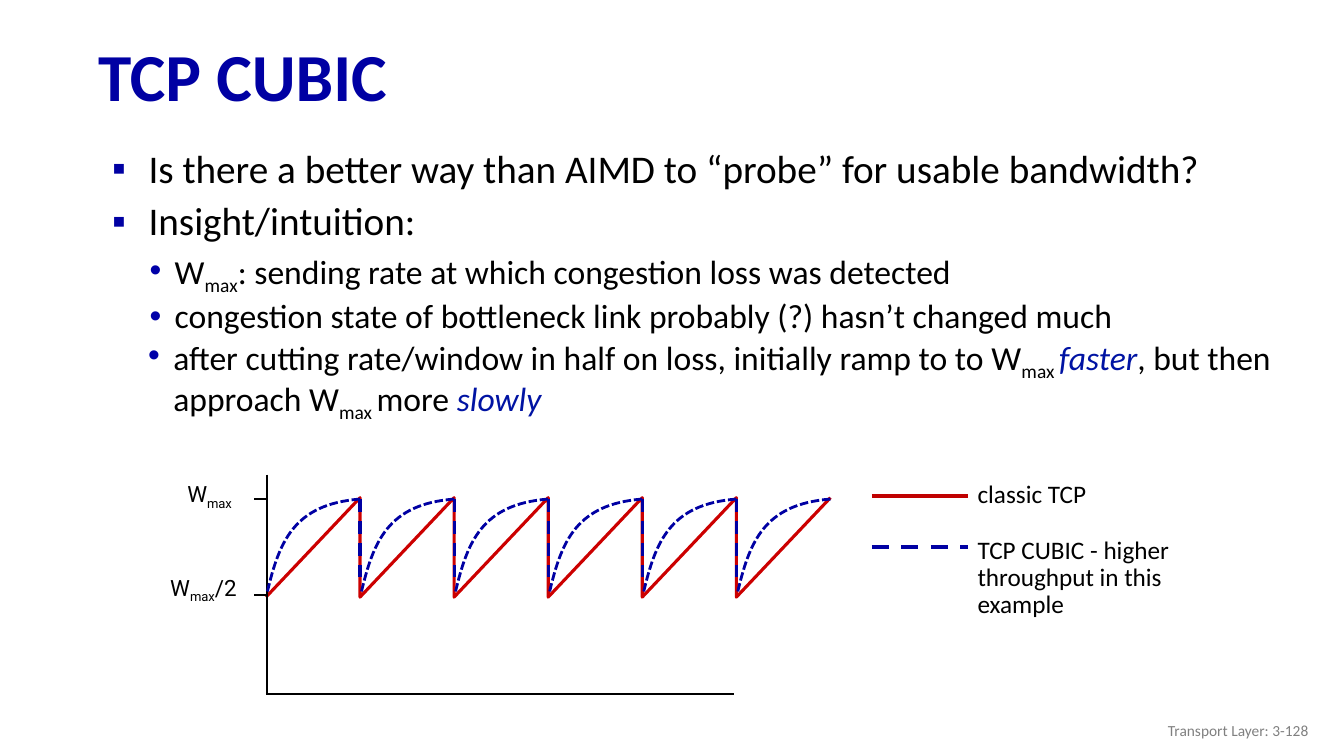
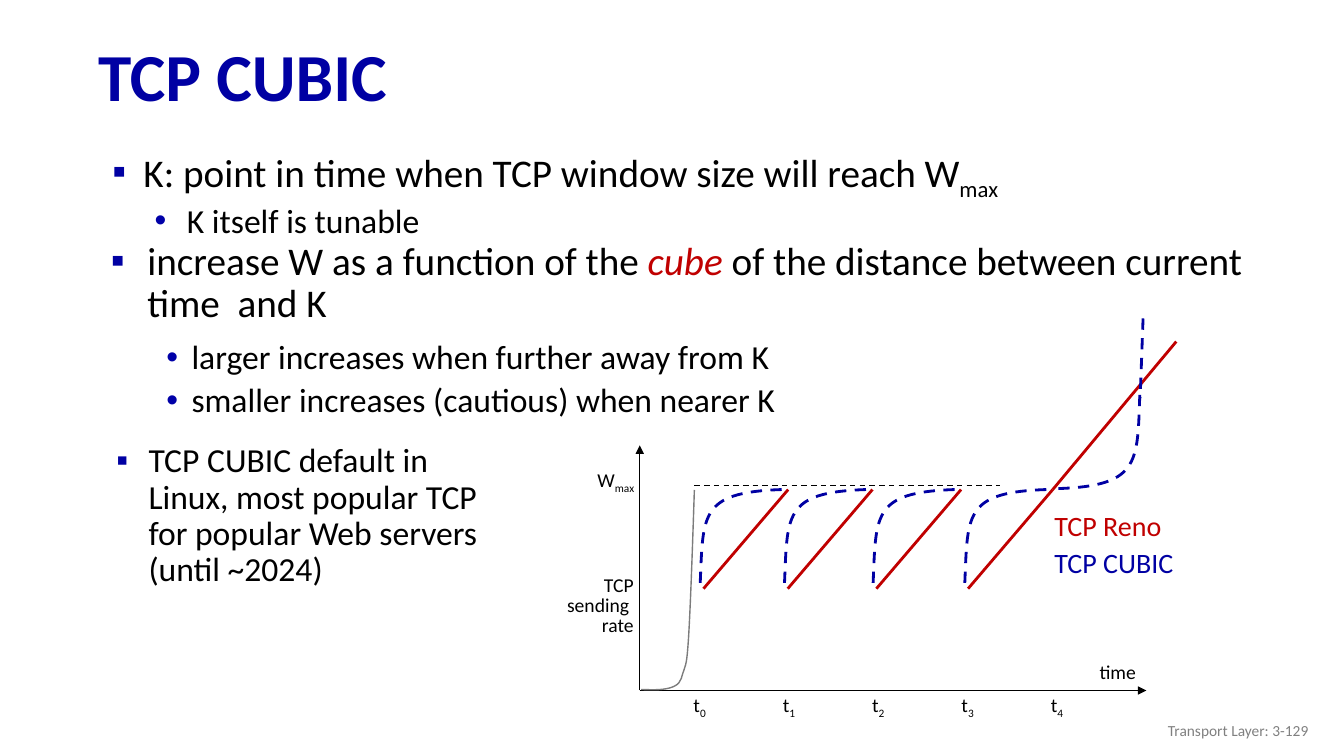
from dataclasses import dataclass
from typing import Any, NamedTuple

from lxml.etree import SubElement as Sub
from pptx import Presentation
from pptx.dml.color import RGBColor as Rgb
from pptx.enum.dml import MSO_LINE as Dash
from pptx.enum.shapes import MSO_CONNECTOR as Conn
from pptx.enum.text import MSO_ANCHOR as Anchor, PP_ALIGN as Align
from pptx.oxml.ns import qn
from pptx.util import Pt


@dataclass(frozen=True)
class Theme:
    font: str = "Calibri"
    alt: str = "Roboto"
    blue: str = "0000A3"
    dot: str = "0000A8"
    stress: str = "0013A3"
    red: str = "C00000"
    saw: str = "CC0000"
    black: str = "000000"
    gray: str = "7C7C7C"
    pale: str = "808080"
    title: int = 48
    body: int = 28
    sub: int = 24
    key: int = 20
    note: int = 18
    mark: int = 16
    tiny: int = 14
    foot: int = 11


T = Theme()


class Spot(NamedTuple):
    x: float
    y: float


class Area(NamedTuple):
    x: float
    y: float
    w: float
    h: float


class Run(NamedTuple):
    text: str
    color: str = ""
    italic: bool = False
    low: bool = False


class Bullet(NamedTuple):
    char: str
    color: str
    left: float
    hang: float


@dataclass(frozen=True)
class Para:
    runs: tuple[Run, ...]
    size: int
    color: str = T.black
    font: str = T.font
    bold: bool = False
    align: Any = Align.LEFT
    space: float = 1.0
    before: float = 0
    bullet: Bullet | None = None


@dataclass(frozen=True)
class Pen:
    color: str
    width: float
    dash: Any = None


MAX = Run("max", low=True)
MAX_GAP = Run("max ", low=True)
WMAX = (Run("W"), MAX)
AXIS = Pen(T.black, 1.5)
THIN = Pen(T.black, 1)
RENO = Pen(T.red, 2)
CUBIC = Pen(T.blue, 2, Dash.DASH)


def put(obj: Any, vals: dict[str, Any]) -> None:
    for name, val in vals.items():
        setattr(obj, name, val)


def main_item(*runs: Run, left: float = 36, hang: float = 26, size: int = T.body) -> Para:
    return Para(runs, size, space=0.9, before=10, bullet=Bullet("▪", T.blue, left, hang))


def sub_item(*runs: Run, left: float = 54.7, hang: float = 18) -> Para:
    return Para(runs, T.sub, space=0.9, before=5, bullet=Bullet("•", T.dot, left, hang))


def add_mark(para: Any, mark: Bullet) -> None:
    props = para._p.get_or_add_pPr()
    props.set("marL", str(Pt(mark.left)))
    props.set("indent", str(-Pt(mark.hang)))
    Sub(Sub(props, qn("a:buClr")), qn("a:srgbClr")).set("val", mark.color)
    Sub(props, qn("a:buFont")).set("typeface", "Arial")
    Sub(props, qn("a:buChar")).set("char", mark.char)


def write(slide: Any, area: Area, *paras: Para, anchor: Any = Anchor.TOP) -> None:
    frame = slide.shapes.add_textbox(*map(Pt, area)).text_frame
    put(frame, {"word_wrap": True, "vertical_anchor": anchor})
    for i, item in enumerate(paras):
        para = frame.add_paragraph() if i else frame.paragraphs[0]
        put(para, {"alignment": item.align, "line_spacing": item.space})
        if i and item.before:
            para.space_before = Pt(item.before)
        if item.bullet:
            add_mark(para, item.bullet)
        for part in item.runs:
            run = para.add_run()
            run.text = part.text
            put(run.font, {"name": item.font, "size": Pt(item.size),
                           "bold": item.bold, "italic": part.italic})
            run.font.color.rgb = Rgb.from_string(part.color or item.color)
            if part.low:
                run._r.get_or_add_rPr().set("baseline", "-25000")


def ink(line: Any, pen: Pen) -> None:
    line.color.rgb = Rgb.from_string(pen.color)
    put(line, {"width": Pt(pen.width), "dash_style": pen.dash})


def rule(slide: Any, start: Spot, end: Spot, pen: Pen, arrow: bool = False) -> None:
    """Draw a straight line, with an arrowhead at its end if asked."""
    line = slide.shapes.add_connector(Conn.STRAIGHT, *map(Pt, (*start, *end)))
    ink(line.line, pen)
    if arrow:
        Sub(line.line._get_or_add_ln(), qn("a:tailEnd")).set("type", "triangle")
    Sub(line._element.spPr, qn("a:effectLst"))


def trace(slide: Any, pen: Pen, start: Spot, *ends: Spot) -> Any:
    """Draw an open outline through the spots."""
    form = slide.shapes.build_freeform(Pt(start.x), Pt(start.y), scale=1.0)
    form.add_line_segments([(Pt(s.x), Pt(s.y)) for s in ends], close=False)
    shape = form.convert_to_shape()
    shape.fill.background()
    shape.shadow.inherit = False
    ink(shape.line, pen)
    return shape


def curve(slide: Any, pen: Pen, start: Spot, *bends: tuple[Spot, Spot, Spot]) -> None:
    """Draw Bezier pieces, each given by two control spots and its end."""
    shape = trace(slide, pen, start, *(bend[-1] for bend in bends))
    legs = list(shape._element.iter(qn("a:lnTo")))
    for leg, bend in zip(legs, bends):
        arc = Sub(leg.getparent(), qn("a:cubicBezTo"))
        for spot in bend:
            point = Sub(arc, qn("a:pt"))
            point.set("x", str(Pt(spot.x) - shape.left))
            point.set("y", str(Pt(spot.y) - shape.top))
        leg.getparent().replace(leg, arc)


def new_slide(deck: Any, page: int) -> Any:
    slide = deck.slides.add_slide(deck.slide_layouts[6])
    write(slide, Area(63, 21.6, 897, 70.6),
          Para((Run("TCP CUBIC"),), T.title, T.blue, bold=True, space=0.9),
          anchor=Anchor.MIDDLE)
    write(slide, Area(725.8, 507.6, 216, 28.8),
          Para((Run(f"Transport Layer: 3-{page}"),), T.foot, T.pale, align=Align.RIGHT),
          anchor=Anchor.MIDDLE)
    return slide


def draw_saw(slide: Any) -> None:
    left, top, low, step, teeth = 190, 355.5, 426.5, 67.2, 6
    saw = [Spot(left, low)]
    for i in range(1, teeth + 1):
        x = left + i * step
        saw += [Spot(x, top), Spot(x, low)]
    trace(slide, Pen(T.saw, 2.25), *saw[:-1])
    rule(slide, Spot(left, 495.5), Spot(524, 495.5), AXIS)
    rule(slide, Spot(190.6, 339), Spot(190.6, 496), AXIS)
    for y in (356.3, 424.8):
        rule(slide, Spot(181.5, y), Spot(left, y), AXIS)
    for i in range(teeth):
        x, y = left + 0.8 + i * step, top + 1
        end = x + 66.4
        curve(slide, Pen(T.blue, 2, Dash.SQUARE_DOT), Spot(end, y),
              (Spot(x + 19, y + 3.6), Spot(x + 8.6, y + 30.5), Spot(x, y + 67)))
        if i < teeth - 1:
            rule(slide, Spot(end, y), Spot(end, y + 62.6), Pen(T.blue, 2.25, Dash.DASH))
    write(slide, Area(126.7, 339.4, 56, 26.6), Para(WMAX, T.mark, font=T.alt))
    write(slide, Area(114.5, 406.4, 70, 26.6),
          Para((*WMAX, Run("/2")), T.mark, font=T.alt))


def draw_key(slide: Any) -> None:
    for y, pen in ((354.3, Pen(T.red, 3)), (391, Pen(T.blue, 3, Dash.DASH))):
        rule(slide, Spot(622.8, y), Spot(691.2, y), pen)
    write(slide, Area(691.2, 338, 110, 29), Para((Run("classic TCP"),), T.note))
    write(slide, Area(691.2, 380.2, 172, 66),
          Para((Run("TCP CUBIC - higher throughput in this example"),), T.note, space=0.9))


def draw_axes(slide: Any) -> None:
    base = Spot(457, 493.2)
    rule(slide, base, Spot(818.8, 493.2), THIN, arrow=True)
    rule(slide, base, Spot(457, 318.2), THIN, arrow=True)
    rule(slide, Spot(496, 347), Spot(714.2, 347), Pen(T.black, 1, Dash.DASH))
    curve(slide, Pen(T.gray, 1), Spot(496, 350),
          (Spot(494.6, 393), Spot(493.2, 434), Spot(491.8, 456.5)),
          (Spot(490.3, 478.8), Spot(489.6, 473.8), Spot(486.7, 484.6)),
          (Spot(483.8, 494.6), Spot(464.4, 492.5), Spot(457.9, 492.5)))
    right = {"size": T.tiny, "align": Align.RIGHT, "space": 0.85}
    write(slide, Area(396, 408.2, 63.7, 70),
          *(Para((Run(word),), **right) for word in ("TCP", "sending ", "rate")))
    write(slide, Area(416.5, 332, 43.7, 22.3), Para(WMAX, **right))
    write(slide, Area(778.3, 468, 46, 24.5), Para((Run("time"),), T.tiny))
    for i in range(5):
        write(slide, Area(484.8 + 63.8 * i, 492.5, 30, 22.3),
              Para((Run("t"), Run(str(i), low=True)), T.tiny,
                   align=Align.CENTER, space=0.85))


def draw_cycles(slide: Any) -> None:
    top, low = 349.7, 420.5
    for x in (500, 560.2, 623.5, 689):
        rule(slide, Spot(x + 63, top), Spot(x + 2.5, low), RENO)
        curve(slide, CUBIC, Spot(x + 58.4, top),
              (Spot(x - 1.8, top + 2), Spot(x + 2.5, top + 18.5), Spot(x, low)))
    rule(slide, Spot(752, top), Spot(840.2, 244), RENO)
    curve(slide, CUBIC, Spot(756, 349),
          (Spot(816.5, 347), Spot(812.2, 329), Spot(814.4, 276.6)))
    rule(slide, Spot(816.5, 227.5), Spot(814.4, 284.4), CUBIC)
    write(slide, Area(746, 363, 106, 60),
          *(Para((Run(name),), T.key, color, space=0.85, before=6)
            for name, color in (("TCP Reno", T.red), ("TCP CUBIC", T.blue))))


def insight(deck: Any) -> None:
    slide = new_slide(deck, 128)
    write(slide, Area(63, 103, 879, 40), main_item(
        Run("Is there a better way than AIMD to “probe” for usable bandwidth?")))
    write(slide, Area(63, 140.6, 879, 105),
          main_item(Run("Insight/intuition:")),
          sub_item(*WMAX, Run(": sending rate at which congestion loss was detected")),
          sub_item(Run("congestion state of bottleneck link probably (?) hasn’t changed much")))
    write(slide, Area(62, 237.2, 879, 70.6), sub_item(
        Run("after cutting rate/window in half on loss, initially ramp to to W"), MAX_GAP,
        Run("faster", T.stress, italic=True), Run(", but then approach W"), MAX_GAP,
        Run("more "), Run("slowly", T.stress, italic=True)))
    draw_saw(slide)
    draw_key(slide)


def growth(deck: Any) -> None:
    slide = new_slide(deck, 129)
    write(slide, Area(63, 103, 879, 75),
          main_item(Run("K: point in time when TCP window size will reach W"), MAX,
                    left=32.4, hang=22.3),
          sub_item(Run("K itself is tunable"), left=63.4, hang=23))
    write(slide, Area(62.2, 169, 879, 72), main_item(
        Run("increase W as a function of the "), Run("cube", T.red, italic=True),
        Run(" of the distance between current time  and K")))
    write(slide, Area(75, 239.6, 810, 78.5),
          sub_item(Run("larger increases when further away from K")),
          sub_item(Run("smaller increases (cautious) when nearer K")))
    write(slide, Area(63, 313.4, 287.3, 120), main_item(
        Run("TCP CUBIC default in Linux, most popular TCP for popular Web servers (until ~2024)"),
        hang=23, size=T.sub))
    draw_axes(slide)
    draw_cycles(slide)


def main() -> None:
    deck = Presentation()
    put(deck, {"slide_width": Pt(960), "slide_height": Pt(540)})
    insight(deck)
    growth(deck)
    deck.save("out.pptx")


if __name__ == "__main__":
    main()
